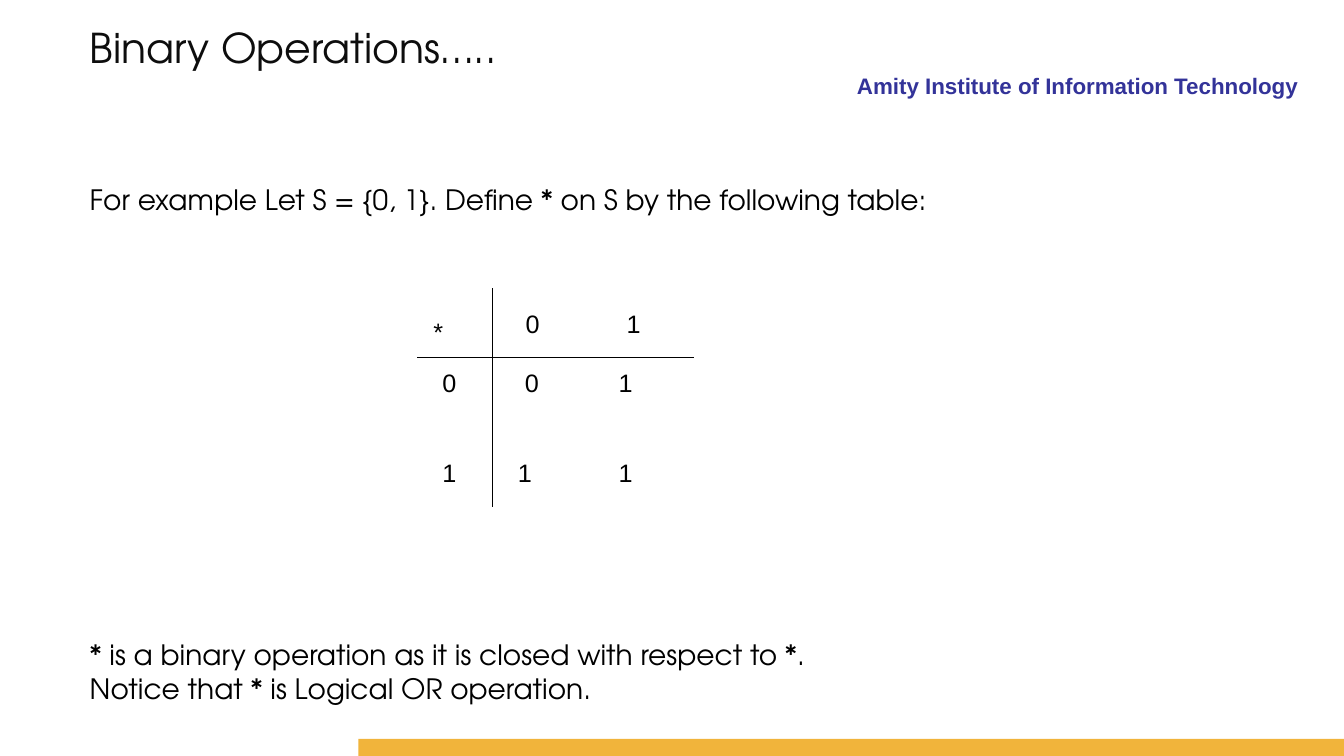
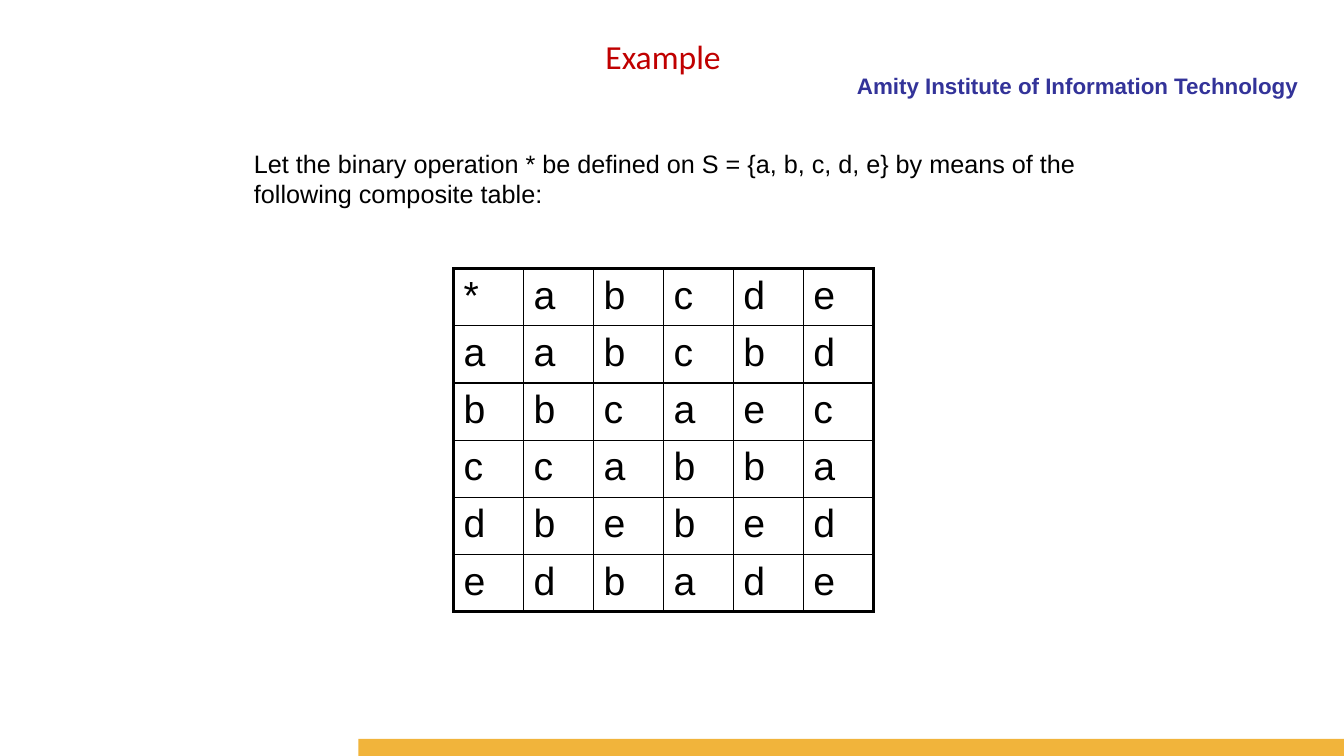
from lxml import etree
from pptx import Presentation
from pptx import util as u
from pptx.dml import color as col
from pptx.enum import shapes, text
from pptx.oxml import ns

INK, NAVY, GOLD, RED, TITLE = "000000", "333399", "F1B43B", "C00000", "0D0D0D"
SANS, ROUND, HEAD = "Arial", "TeX Gyre Adventor", "Calibri"
ALIGN = text.PP_ALIGN
SYMBOLS = "*abcde"
PRODUCTS = ["abcbd", "bcaec", "cabba", "bebed", "dbade"]


def rgb(code):
    """Turn a hex string into a colour."""
    return col.RGBColor.from_string(code)


def node(parent, tag, **attrs):
    """Append an XML element and return it."""
    return etree.SubElement(parent, ns.qn(tag), attrs)


def write(frame, lines, size=18, font=SANS, color=INK, bold=False,
          align=ALIGN.LEFT, gap=0, tabs=()):
    """Fill a text frame with formatted paragraphs."""
    for i, line in enumerate(lines):
        para = frame.add_paragraph() if i else frame.paragraphs[0]
        para.text = line
        para.alignment = align
        if i and gap:
            para.space_before = u.Pt(gap)
        if i < len(tabs):
            stops = node(para._p.get_or_add_pPr(), "a:tabLst")
            for stop in tabs[i]:
                node(stops, "a:tab", pos=str(u.Cm(stop)), algn="l")
        face = para.font
        face.size, face.name, face.bold = u.Pt(size), font, bold
        face.color.rgb = rgb(color)


class Deck:
    """Hold the shared style and the current slide."""

    def __init__(self):
        """Open a wide presentation."""
        self.show = Presentation()
        self.show.slide_width = u.Cm(33.87)
        self.show.slide_height = u.Cm(19.05)

    def start(self):
        """Add a slide with the institute name and the footer band."""
        self.slide = self.show.slides.add_slide(self.show.slide_layouts[6])
        self.label(12.93, 1.7, 20.04, 0.84, "Amity Institute of Information Technology",
                   size=16, color=NAVY, bold=True, align=ALIGN.RIGHT)
        self.band(9.03, 18.62, 24.84, 0.43, GOLD)

    def label(self, x, y, w, h, *lines, **style):
        """Add a text box."""
        box = self.slide.shapes.add_textbox(u.Cm(x), u.Cm(y), u.Cm(w), u.Cm(h))
        box.text_frame.word_wrap = True
        write(box.text_frame, lines, **style)

    def band(self, x, y, w, h, color):
        """Add a plain filled bar."""
        bar = self.slide.shapes.add_shape(
            shapes.MSO_SHAPE.RECTANGLE, u.Cm(x), u.Cm(y), u.Cm(w), u.Cm(h))
        bar.shadow.inherit = False
        bar.fill.solid()
        bar.fill.fore_color.rgb = rgb(color)
        bar.line.fill.background()

    def rule(self, x1, y1, x2, y2):
        """Add a thin straight line."""
        line = self.slide.shapes.add_connector(
            shapes.MSO_CONNECTOR.STRAIGHT, u.Cm(x1), u.Cm(y1), u.Cm(x2), u.Cm(y2))
        line.line.color.rgb = rgb(INK)
        line.line.width = u.Pt(0.75)
        node(line._element.spPr, "a:effectLst")

    def grid(self, x, y, w, h, rows):
        """Add a table with a heavy frame and thin inner lines."""
        high, wide = len(rows), len(rows[0])
        table = self.slide.shapes.add_table(
            high, wide, u.Cm(x), u.Cm(y), u.Cm(w), u.Cm(h)).table
        table.first_row = table.horz_banding = False
        for r, row in enumerate(rows):
            for c, mark in enumerate(row):
                cell = table.cell(r, c)
                write(cell.text_frame, [mark], size=28)
                cell.fill.background()
                self.edges(cell, L=c == 0, R=c == wide - 1, T=r == 0, B=r == high - 1)

    def edges(self, cell, **sides):
        """Draw the borders of a cell, heavy where a side is outer."""
        props = cell._tc.get_or_add_tcPr()
        for i, (side, outer) in enumerate(sides.items()):
            line = node(props, "a:ln" + side, w=str(u.Pt(2.25 if outer else 1)))
            node(node(line, "a:solidFill"), "a:srgbClr", val=INK)
            props.insert(i, line)


def main():
    """Build both slides."""
    deck = Deck()
    body = dict(size=20, font=ROUND, align=ALIGN.JUSTIFY)

    deck.start()
    deck.label(2.01, 0.43, 12, 1.5, "Binary Operations…..",
               size=29.3, font=ROUND, color=TITLE)
    deck.label(2.01, 4.47, 29.59, 1.12,
               "For example Let S = {0, 1}. Define * on S by the following table:", **body)
    deck.rule(10.52, 9.02, 17.5, 9.02)
    deck.rule(12.42, 7.26, 12.42, 12.78)
    deck.label(10.67, 7.85, 0.86, 1.02, "*")
    deck.label(13, 7.65, 3.43, 1.02, "0\t1", tabs=[[2.54]])
    deck.label(10.9, 9.12, 0.86, 3.33, "0", "1", gap=43)
    deck.label(12.8, 9.12, 3.43, 3.33, "\t0\t1", "1\t1", gap=43,
               tabs=[[0.18, 2.54], [2.54]])
    deck.label(2.01, 15.95, 29.59, 1.96,
               "* is a binary operation as it is closed with respect to *.",
               "Notice that * is Logical OR operation.", **body)

    deck.start()
    deck.label(4.01, 0.79, 25.4, 1.27, "Example",
               size=24, font=HEAD, color=RED, align=ALIGN.CENTER)
    deck.label(6.15, 3.61, 22.05, 2.2,
               "Let the binary operation * be defined on S = {a, b, c, d, e} by means of the",
               "following composite table:")
    rows = [SYMBOLS] + [mark + line for mark, line in zip(SYMBOLS[1:], PRODUCTS)]
    deck.grid(11.43, 6.77, 10.58, 8.64, rows)

    deck.show.save("out.pptx")


if __name__ == "__main__":
    main()
